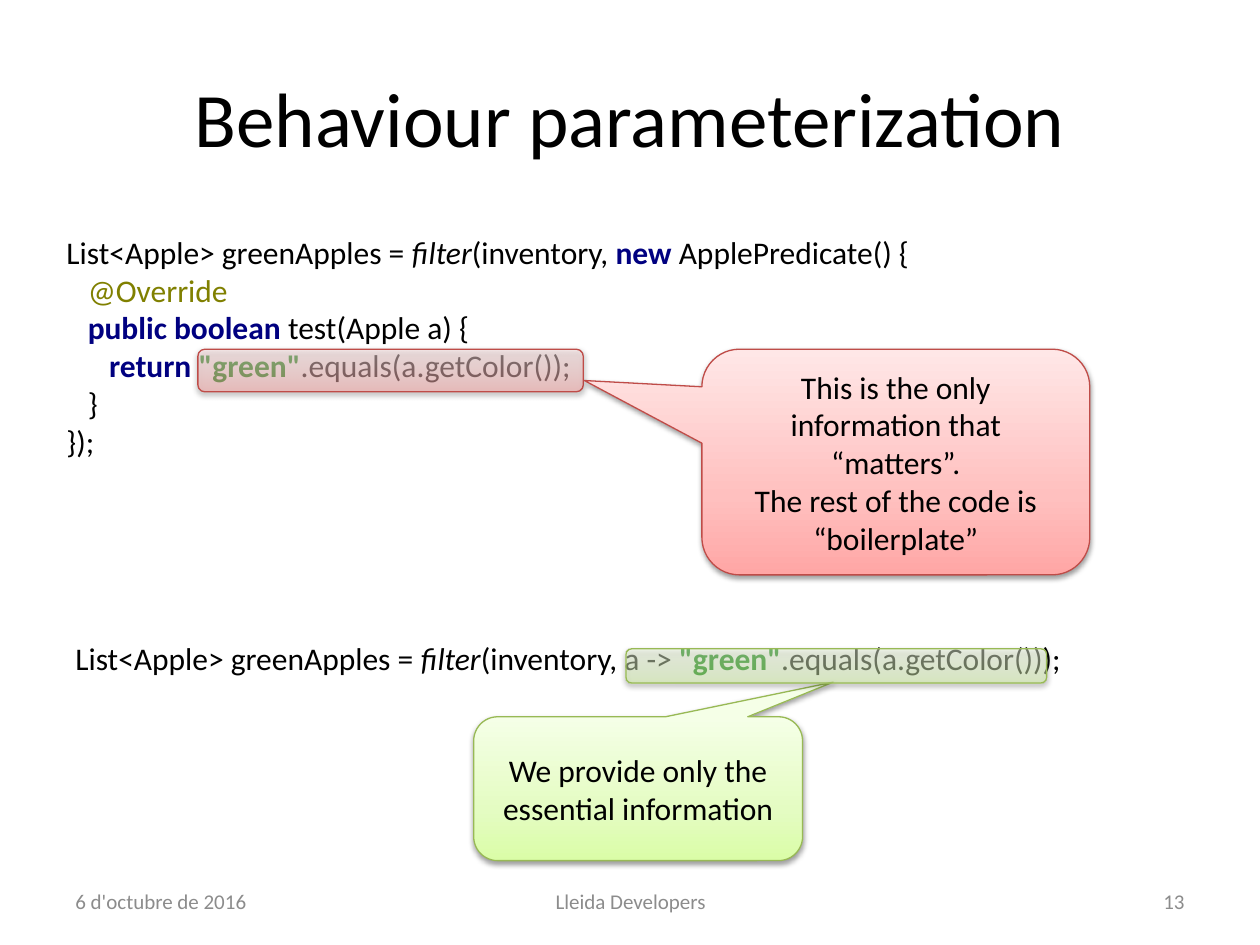
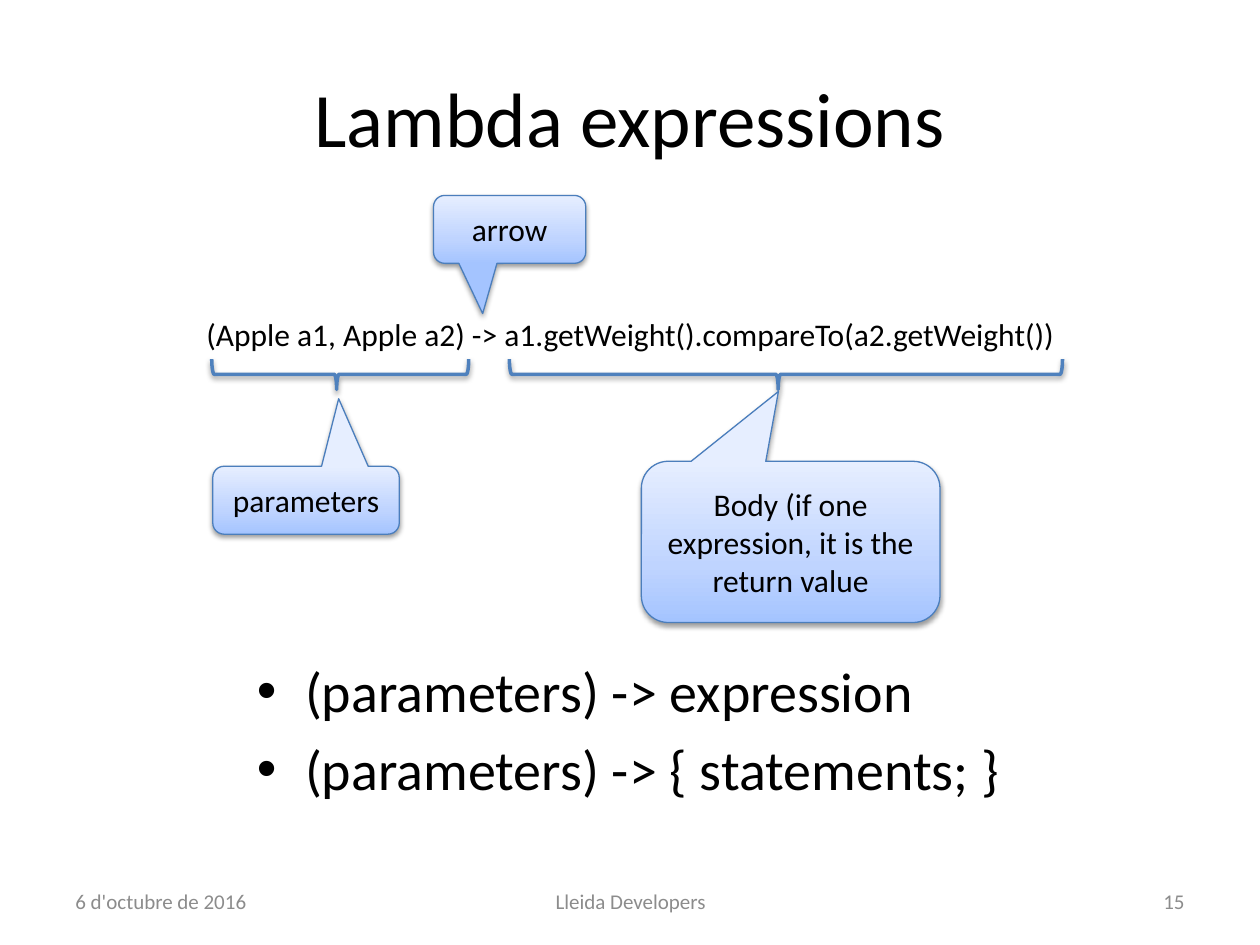
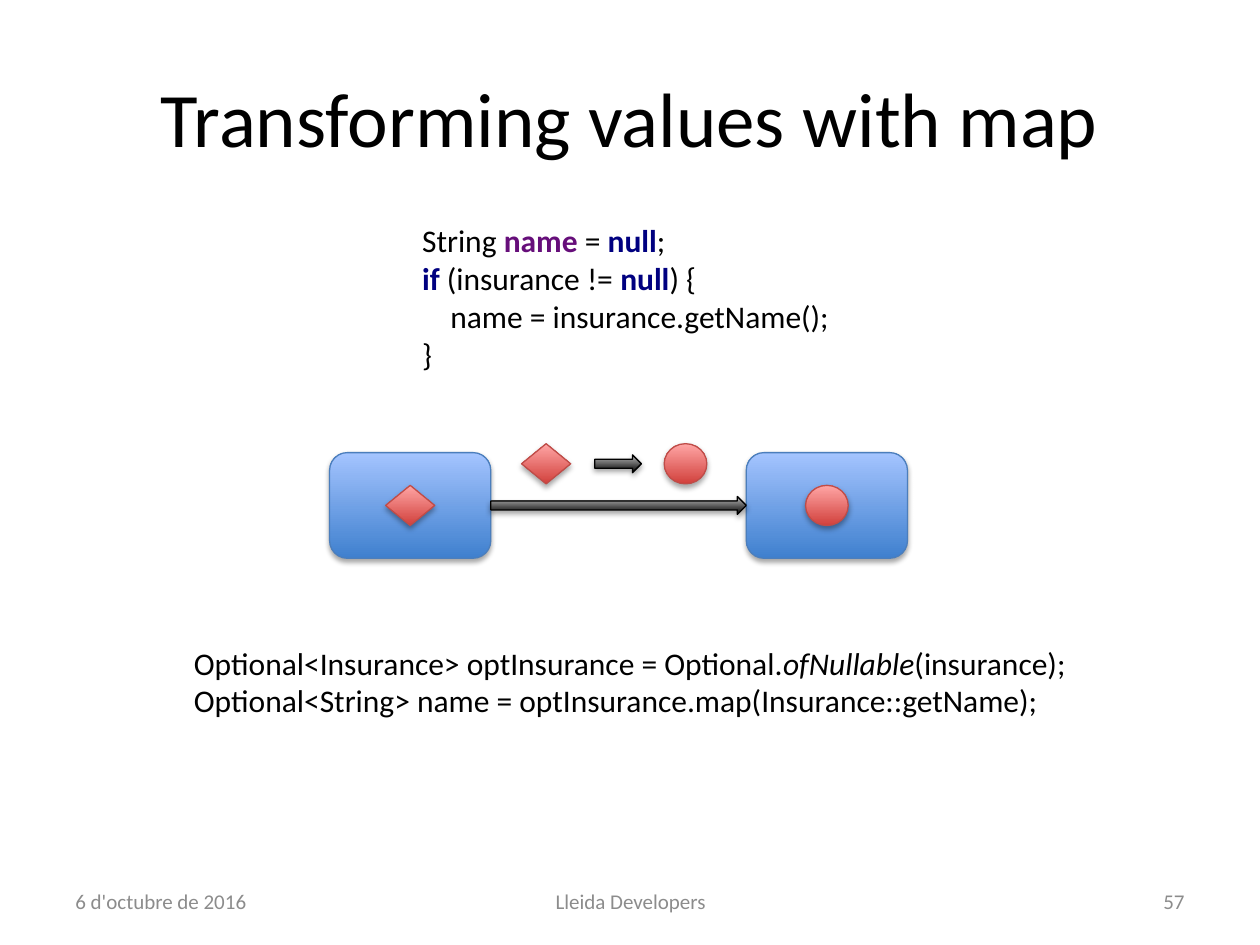
from lxml import etree
from pptx import Presentation
from pptx import util as u
from pptx.dml.color import RGBColor
from pptx.enum import shapes, text
from pptx.oxml.ns import nsdecls, qn

Cm, Pt = u.Cm, u.Pt
KIND, ALIGN = shapes.MSO_SHAPE, text.PP_ALIGN

FONT = "Calibri"
COLORS = {
    "ink": "000000", "footer": "8C8C8C", "keyword": "000080",
    "annotation": "808000", "string": "008000", "field": "660E7A",
    "red_line": "BF4C48", "green_line": "98B955", "blue_line": "4B7EBC",
    "brace": "4F81BD",
}
# Gradient stops from bottom to top, then the outline colour
LOOKS = {
    "pale_red": ([(0, "FFA6A5"), (35, "FFC0BF"), (100, "FFE7E7")], "red_line"),
    "pale_green": ([(0, "DAFDA7"), (35, "E4FCC2"), (100, "F5FFE7")], "green_line"),
    "pale_blue": ([(0, "A4C4FF"), (35, "BFD4FF"), (100, "E6EEFF")], "blue_line"),
    "red": ([(0, "D1403C"), (100, "FFA6A5")], "red_line"),
    "blue": ([(0, "3F80CE"), (100, "A4C4FF")], "blue_line"),
    "black": ([(0, "000000"), (100, "BDBDBD")], "ink"),
}
# Shadow opacity in percent and distance in points
SOFT, STRONG = (35, 1.8), (38, 1.6)

# Code: (indent in cm, runs); a run is plain text or (text, style)
ANONYMOUS_CLASS = [
    (0, ["List<Apple> greenApples = ", ("filter", "call"), "(inventory, ",
         ("new ", "keyword"), "ApplePredicate() {"]),
    (0.43, [("@Override", "annotation")]),
    (0.43, [("public boolean ", "keyword"), "test(Apple a) {"]),
    (0.86, [("return ", "keyword"), ('"green"', "string"), ".equals(a.getColor());"]),
    (0.43, ["}"]),
    (0, ["});"]),
]
LAMBDA = [
    (0, ["List<Apple> greenApples = ", ("filter", "call"), "(inventory, a -> ",
         ('"green"', "string"), ".equals(a.getColor()));"]),
]
COMPARATOR = [
    (0, ["(Apple a1, Apple a2) -> a1.getWeight().compareTo(a2.getWeight())"]),
]
NULL_CHECK = [
    (0, ["String ", ("name ", "field"), "= ", ("null", "keyword"), ";"]),
    (0, [("if ", "keyword"), "(insurance != ", ("null", "keyword"), ") {"]),
    (0.57, ["name = insurance.getName();"]),
    (0, ["}"]),
]
OPTIONAL = [
    (0, ["Optional<Insurance> optInsurance = Optional.", ("ofNullable", "call"),
         "(insurance);"]),
    (0, ["Optional<String> name = optInsurance.map(Insurance::getName);"]),
]
BOILERPLATE_NOTE = ["This is the only information that “matters”.",
                    "The rest of the code is “boilerplate”"]
ESSENTIAL_NOTE = ["We provide only the essential information"]
LAMBDA_FORMS = ["(parameters) -> expression", "(parameters) -> { statements; }"]
# Text, box, callout tip relative to the box
LAMBDA_PARTS = [
    ("arrow", (8.74, 3.94, 3.07, 1.37), (-0.177, 1.239)),
    ("parameters", (4.29, 9.4, 3.76, 1.37), (0.175, -1.494)),
    ("Body (if one expression, it is the return value", (12.93, 9.3, 6.02, 3.25),
     (-0.041, -0.933)),
]
BRACES = [(4.27, 5.18), (10.27, 11.15)]  # left, width

TITLE_BOX = (1.27, 0.76, 22.86, 3.18)
DATE, GROUP = "6 d'octubre de 2016", "Lleida Developers"
FOOTER_TOP, FOOTER_HEIGHT = 17.65, 1.02


def rgb(name):
    return RGBColor.from_string(COLORS[name])


def add_run(p, words, size, style="ink"):
    r = p.add_run()
    r.text = words
    r.font.name, r.font.size = FONT, Pt(size)
    r.font.color.rgb = rgb("ink" if style == "call" else style)
    if style == "call":
        r.font.italic = True
    if style in ("keyword", "string", "field"):
        r.font.bold = True


def paragraphs(tf, items):
    """Yield one paragraph for each item, starting with the one already there."""
    for i, item in enumerate(items):
        yield (tf.add_paragraph() if i else tf.paragraphs[0]), item


def add_box(slide, box, middle=False):
    tf = slide.shapes.add_textbox(*map(Cm, box)).text_frame
    tf.word_wrap = True
    if middle:
        tf.vertical_anchor = text.MSO_ANCHOR.MIDDLE
    return tf


def add_label(slide, box, words, size, align, color="ink"):
    p = add_box(slide, box, middle=True).paragraphs[0]
    p.alignment = align
    add_run(p, words, size, color)


def add_code(slide, box, lines):
    tf = add_box(slide, box)
    tf.auto_size = text.MSO_AUTO_SIZE.SHAPE_TO_FIT_TEXT
    for p, (indent, runs) in paragraphs(tf, lines):
        if indent:
            p._p.get_or_add_pPr().set("marL", str(Cm(indent)))
        for run in runs:
            words, style = (run, "ink") if isinstance(run, str) else run
            add_run(p, words, 18, style)


def add_bullets(slide, box, items):
    for p, words in paragraphs(add_box(slide, box), items):
        pPr = p._p.get_or_add_pPr()
        pPr.set("marL", str(Cm(0.97)))
        pPr.set("indent", str(-Cm(0.97)))
        before = etree.SubElement(pPr, qn("a:spcBef"))
        etree.SubElement(before, qn("a:spcPct"), val="20000")
        etree.SubElement(pPr, qn("a:buFont"), typeface="Arial")
        etree.SubElement(pPr, qn("a:buChar"), char="•")
        add_run(p, words, 32)


def add_shadow(sp, opacity, distance):
    sp.shadow.inherit = False
    effects = sp._element.spPr.find(qn("a:effectLst"))
    effects.append(etree.fromstring(
        f'<a:outerShdw {nsdecls("a")} blurRad="{Pt(3.1)}" dist="{Pt(distance)}" '
        f'dir="5400000" rotWithShape="0"><a:srgbClr val="{COLORS["ink"]}">'
        f'<a:alpha val="{opacity * 1000}"/></a:srgbClr></a:outerShdw>'))


def add_shape(slide, kind, box, look, shadow=STRONG, opacity=100):
    """Add a shape with a vertical gradient, a thin outline and a shadow."""
    stops, line = LOOKS[look]
    sp = slide.shapes.add_shape(kind, *map(Cm, box))
    gs = "".join(
        f'<a:gs pos="{pos * 1000}"><a:srgbClr val="{color}">'
        f'<a:alpha val="{opacity * 1000}"/></a:srgbClr></a:gs>' for pos, color in stops)
    sp._element.spPr.find(qn("a:prstGeom")).addnext(etree.fromstring(
        f'<a:gradFill {nsdecls("a")} rotWithShape="1"><a:gsLst>{gs}</a:gsLst>'
        '<a:lin ang="16200000" scaled="0"/></a:gradFill>'))
    sp.line.color.rgb, sp.line.width = rgb(line), Pt(0.75)
    add_shadow(sp, *shadow)
    return sp


def add_callout(slide, box, tip, look, lines):
    sp = add_shape(slide, KIND.ROUNDED_RECTANGULAR_CALLOUT, box, look)
    sp.adjustments[0], sp.adjustments[1] = tip
    for p, words in paragraphs(sp.text_frame, lines):
        p.alignment = ALIGN.CENTER
        add_run(p, words, 18)


def add_brace(slide, left, width, top=7.24, depth=0.61):
    """Add a brace that lies under a stretch of text and points down."""
    shift = (width - depth) / 2
    sp = slide.shapes.add_shape(
        KIND.LEFT_BRACE, *map(Cm, (left + shift, top - shift, depth, width)))
    sp.rotation = 270
    sp.adjustments[0], sp.adjustments[1] = 0.083, 0.486
    sp.fill.background()
    sp.line.color.rgb, sp.line.width = rgb("brace"), Pt(2)
    add_shadow(sp, *STRONG)


def add_slide(prs, title, number):
    s = prs.slides.add_slide(prs.slide_layouts[6])
    add_label(s, TITLE_BOX, title, 44, ALIGN.CENTER)
    for left, width, words, align in [(1.27, 5.92, DATE, ALIGN.LEFT),
                                      (8.69, 8.05, GROUP, ALIGN.CENTER),
                                      (18.21, 5.92, str(number), ALIGN.RIGHT)]:
        add_label(s, (left, FOOTER_TOP, width, FOOTER_HEIGHT), words, 12, align, "footer")
    return s


def behaviour_slide(prs):
    s = add_slide(prs, "Behaviour parameterization", 13)
    add_code(s, (1.09, 4.57, 19.81, 4.88), ANONYMOUS_CLASS)
    add_shape(s, KIND.ROUNDED_RECTANGLE, (3.99, 7.04, 7.77, 0.86), "pale_red", opacity=50)
    add_callout(s, (14.15, 7.04, 7.82, 4.55), (-0.803, -0.361), "pale_red",
                BOILERPLATE_NOTE)
    add_code(s, (1.27, 12.75, 22.68, 1.02), LAMBDA)
    add_callout(s, (9.55, 14.45, 6.63, 2.9), (0.593, -0.741), "pale_green",
                ESSENTIAL_NOTE)
    add_shape(s, KIND.ROUNDED_RECTANGLE, (12.62, 13.08, 8.48, 0.69), "pale_green",
              opacity=46)


def lambda_slide(prs):
    s = add_slide(prs, "Lambda expressions", 15)
    add_bullets(s, (4.93, 13.11, 16.03, 3.76), LAMBDA_FORMS)
    add_code(s, (3.91, 6.22, 18.06, 1.02), COMPARATOR)
    for left, width in BRACES:
        add_brace(s, left, width)
    for words, box, tip in LAMBDA_PARTS:
        add_callout(s, box, tip, "pale_blue", [words])


def map_slide(prs):
    s = add_slide(prs, "Transforming values with map", 57)
    add_code(s, (8.26, 4.34, 8.89, 3.33), NULL_CHECK)
    add_code(s, (3.66, 12.85, 18.57, 1.8), OPTIONAL)

    def centred(kind, x, y, width, height, look):
        add_shape(s, kind, (x - width / 2, y - height / 2, width, height), look, SOFT)

    value_kinds = [(KIND.DIAMOND, 0.99), (KIND.OVAL, 0.86)]
    value_height, arrow_height = 0.81, 0.36
    mapping_y, flow_y = 9.35, 10.19
    box_width, box_height = 3.25, 2.13
    box_xs = (8.27, 16.67)

    for (kind, width), x in zip(value_kinds, (11.01, 13.82)):
        centred(kind, x, mapping_y, width, value_height, "red")
    centred(KIND.RIGHT_ARROW, 12.46, mapping_y, 0.94, arrow_height, "black")
    for (kind, width), x in zip(value_kinds, box_xs):
        centred(KIND.ROUNDED_RECTANGLE, x, flow_y, box_width, box_height, "blue")
        centred(kind, x, flow_y, width, value_height, "red")
    gap = box_xs[1] - box_xs[0] - box_width
    centred(KIND.RIGHT_ARROW, sum(box_xs) / 2, flow_y, gap, arrow_height, "black")


def main():
    prs = Presentation()
    prs.slide_width, prs.slide_height = Cm(25.4), Cm(19.05)
    behaviour_slide(prs)
    lambda_slide(prs)
    map_slide(prs)
    prs.save("out.pptx")


if __name__ == "__main__":
    main()
